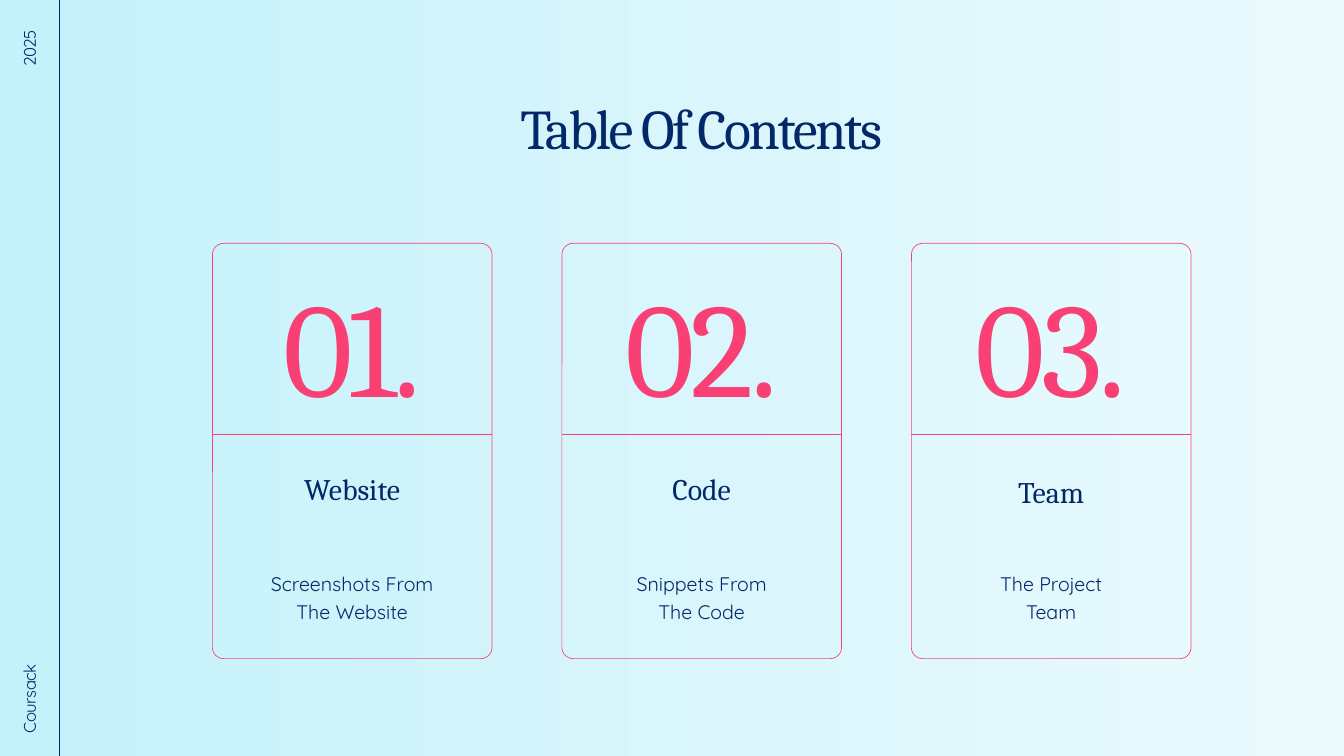
from lxml.etree import SubElement
from pptx import Presentation
from pptx.dml.color import RGBColor
from pptx.enum.shapes import MSO_CONNECTOR as Connector, MSO_SHAPE as Shape
from pptx.enum.text import MSO_AUTO_SIZE as AutoSize, PP_ALIGN as Align
from pptx.oxml.ns import qn
from pptx.util import Cm, Pt

NAVY = RGBColor(0x03, 0x28, 0x6A)
PINK = RGBColor(0xF9, 0x40, 0x75)
SKY = RGBColor(0xC5, 0xF1, 0xFA)
WHITE = RGBColor(0xFF, 0xFF, 0xFF)
SERIF, SANS = "Cambria", "Quicksand"
WIDTH, HEIGHT = 50.8, 28.58
CARD_WIDTH, CARD_HEIGHT, CARD_PITCH = 10.57, 15.7, 13.21
CARDS = [
    ("01.", "Website", "Screenshots From\nThe Website", 8.59),
    ("02.", "Code", "Snippets From\nThe Code", 8.59),
    ("03.", "Team", "The Project\nTeam", 8.69),
]


def add_text(slide, box, text, size, font, color=NAVY, align=Align.CENTER,
             leading=1.2, tracking=0):
    """Place text in a box given in centimetres and return its shape."""
    shape = slide.shapes.add_textbox(*map(Cm, box))
    frame = shape.text_frame
    frame.word_wrap = True
    frame.auto_size = AutoSize.SHAPE_TO_FIT_TEXT
    frame.margin_left = frame.margin_right = 0
    frame.margin_top = frame.margin_bottom = 0
    paragraph = frame.paragraphs[0]
    paragraph.alignment = align
    paragraph.line_spacing = Pt(size * leading)
    for index, line in enumerate(text.split("\n")):
        if index:
            paragraph.add_line_break()
        run = paragraph.add_run()
        run.text = line
        run.font.size = Pt(size)
        run.font.name = font
        run.font.color.rgb = color
        if tracking:
            run._r.get_or_add_rPr().set("spc", str(round(tracking * 100)))
    return shape


def add_line(slide, start, end, color):
    """Draw a thin straight line between two points in centimetres."""
    line = slide.shapes.add_connector(Connector.STRAIGHT, *map(Cm, start + end))
    line.line.color.rgb = color
    line.line.width = Pt(0.75)
    SubElement(line._element.spPr, qn("a:effectLst"))


def add_background(slide, left, top, width, height):
    """Fill a box with a horizontal gradient from sky to white."""
    shape = slide.shapes.add_shape(Shape.RECTANGLE, *map(Cm, (left, top, width, height)))
    shape.shadow.inherit = False
    shape.line.fill.background()
    shape.fill.gradient()
    shape.fill.gradient_angle = 0
    for stop, color, position in zip(shape.fill.gradient_stops, (SKY, WHITE), (0, 1)):
        stop.color.rgb = color
        stop.position = position


def add_rail(slide, left, top, width, height):
    """Draw the side rail with its rule and two upright labels."""
    add_line(slide, (left + width, top + height), (left + width, top), NAVY)
    length, thickness = 12.5, 0.79
    labels = [("Coursack", 21.08, Align.LEFT), ("2025", 6.99, Align.RIGHT)]
    for text, offset, align in labels:
        box = (left + 1.12 - length / 2, top + offset, length, thickness)
        label = add_text(slide, box, text, 18, SANS, align=align, tracking=-0.5)
        label.rotation = 270


def add_card(slide, left, top, width, height, number, heading, summary, heading_top):
    """Draw an outlined card with a number, a heading and a summary."""
    outline = slide.shapes.add_shape(
        Shape.ROUNDED_RECTANGLE, *map(Cm, (left, top, width, height)))
    outline.adjustments[0] = 0.04
    outline.shadow.inherit = False
    outline.fill.background()
    outline.line.color.rgb = PINK
    outline.line.width = Pt(0.75)
    add_line(slide, (left, top + 7.21), (left + width, top + 7.21), PINK)
    inner = left + 1.66
    add_text(slide, (inner, top + 0.74, 7.24, 6.1), number, 144, SERIF, PINK,
             tracking=-4.3)
    add_text(slide, (left + 1.37, top + heading_top, 7.82, 1.35), heading, 32, SERIF)
    add_text(slide, (inner, top + 12.29, 7.24, 2.03), summary, 21, SANS, leading=1.4)


def add_contents(slide, left, top):
    """Lay out the row of cards from its top left corner."""
    for index, card in enumerate(CARDS):
        add_card(slide, left + index * CARD_PITCH, top, CARD_WIDTH, CARD_HEIGHT, *card)


def main():
    """Build the contents slide and save it."""
    presentation = Presentation()
    presentation.slide_width = Cm(WIDTH)
    presentation.slide_height = Cm(HEIGHT)
    slide = presentation.slides.add_slide(presentation.slide_layouts[6])
    add_background(slide, 0, -4.67, 76.63, 33.25)
    add_rail(slide, 0, 0, 2.24, HEIGHT)
    add_text(slide, (3.58, 3.53, 45.85, 2.57), "Table Of Contents", 60, SERIF,
             tracking=-2.5)
    add_contents(slide, 8.03, 9.2)
    presentation.save("out.pptx")


if __name__ == "__main__":
    main()
